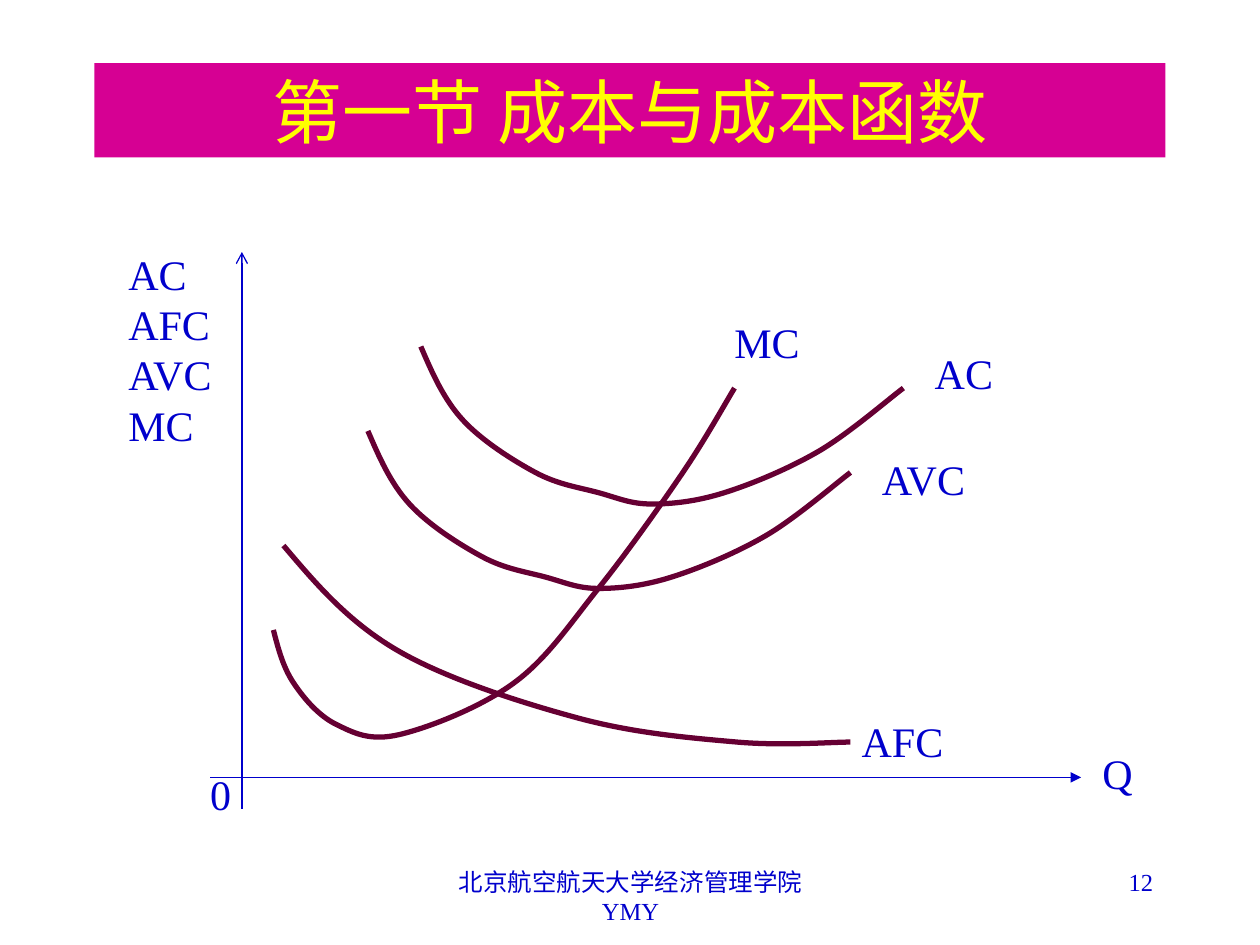
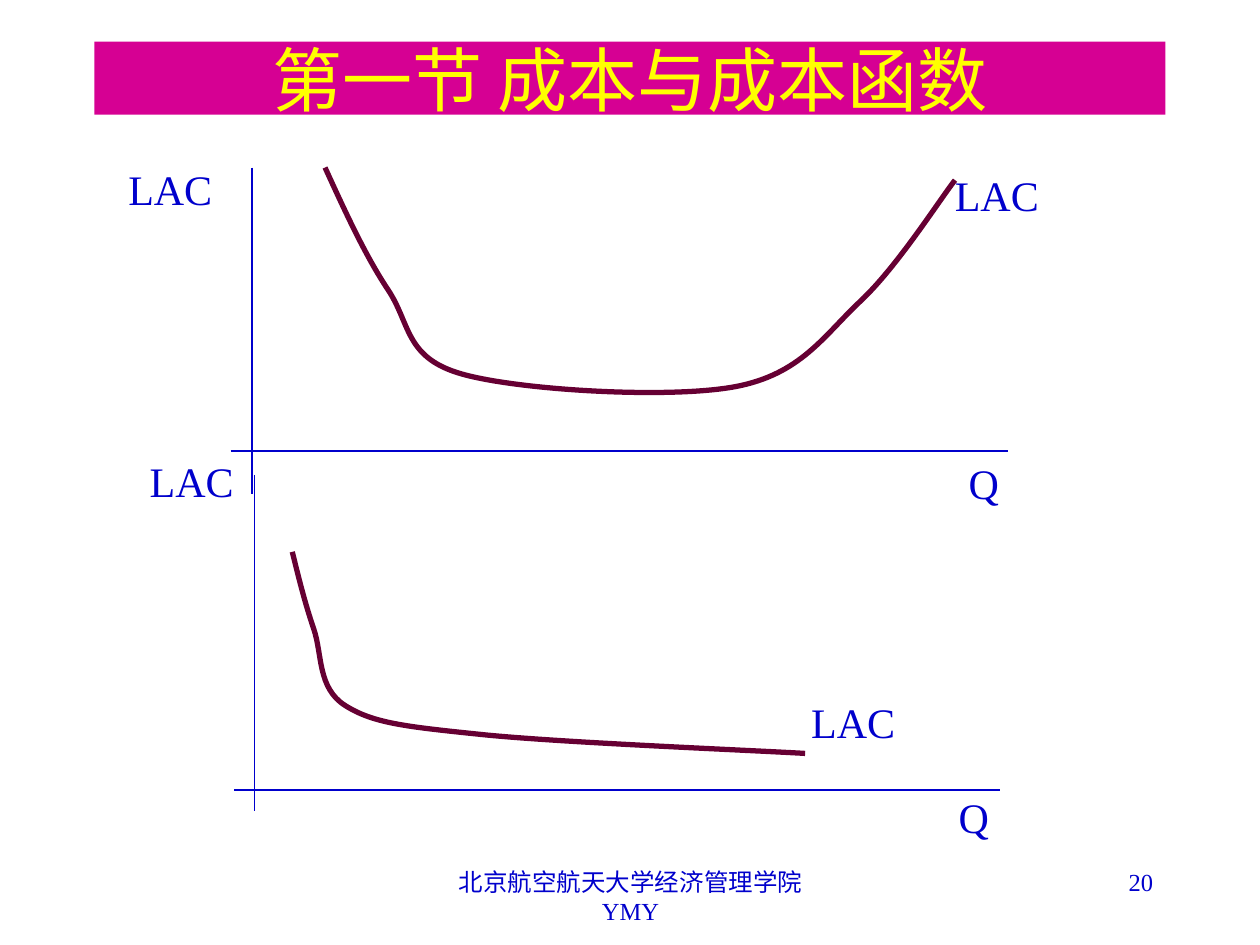
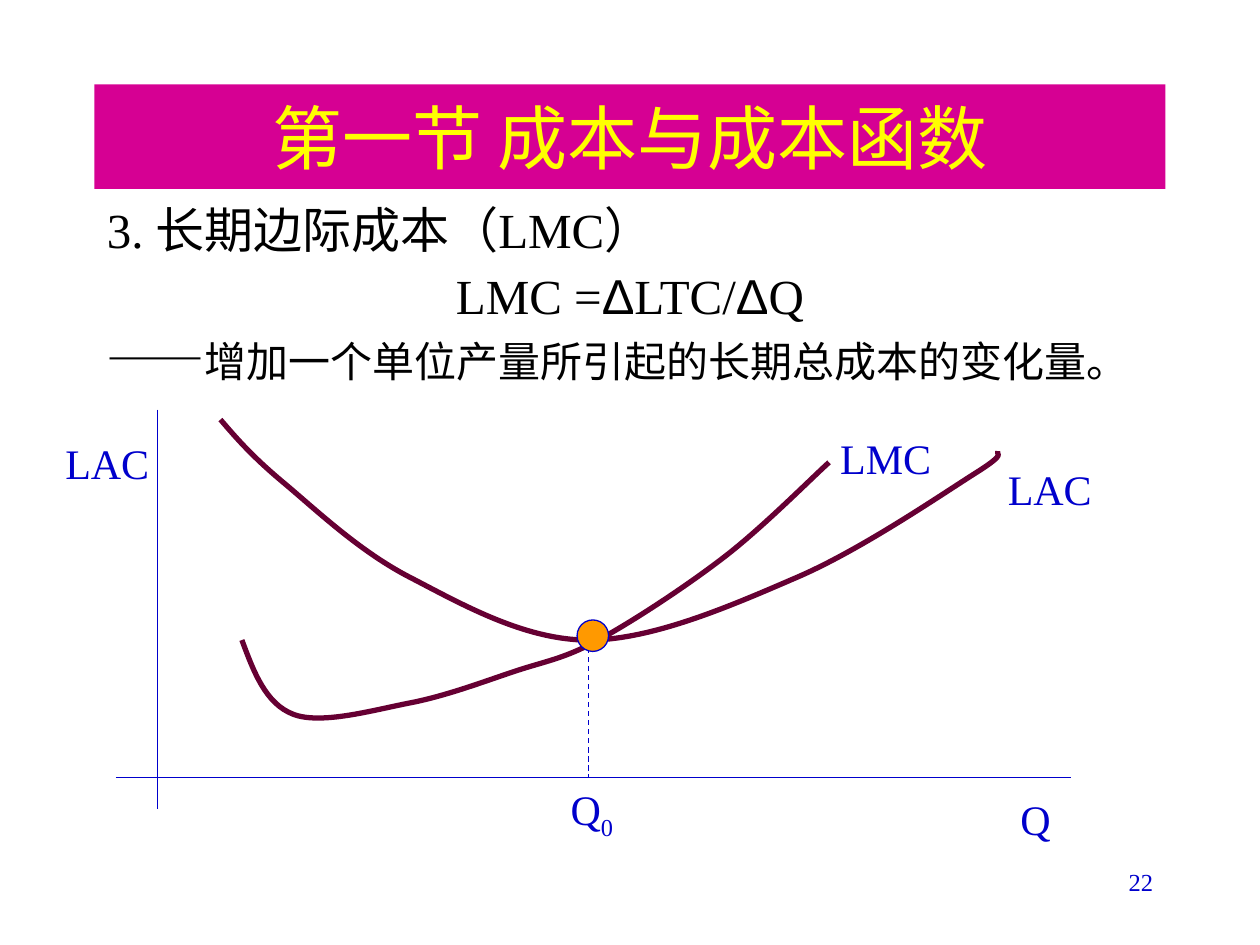
from dataclasses import dataclass
from pptx import Presentation
from pptx.dml.color import RGBColor
from pptx.enum.dml import MSO_LINE
from pptx.enum.shapes import MSO_CONNECTOR, MSO_SHAPE
from pptx.enum.text import MSO_ANCHOR, MSO_AUTO_SIZE, PP_ALIGN
from pptx.oxml.ns import qn
from pptx.util import Inches, Pt
from lxml.etree import SubElement

COLORS = {"band": "D60093", "title": "FFFF00", "label": "0000CC",
          "curve": "660033", "dot": "FF9900", "body": "000000"}
SERIF = "Times New Roman"
TITLE = "第一节 成本与成本函数"
FOOTER = "北京航空航天大学经济管理学院 YMY"
LABEL = {"name": SERIF, "size": Pt(24), "color": "label"}
SMALL = {**LABEL, "size": Pt(14)}
HEADING = {"name": SERIF, "size": Pt(40), "color": "title"}
BODY = {"name": SERIF, "size": Pt(28), "color": "body"}
LABEL_WIDTHS = {"Q": 0.44, "0": 0.36, "AC": 0.66, "MC": 0.72, "AFC": 0.85,
                "AVC": 0.9, "LAC": 0.87, "LMC": 0.92, "Q0": 0.54}


@dataclass
class Plot:
    left: float
    top: float
    width: float
    height: float
    overhang_x: float
    overhang_y: float

    def place(self, quantity, cost):
        return Inches(self.left + quantity), Inches(self.top + self.height - cost)


def rgb(name):
    return RGBColor.from_string(COLORS[name])


def add_run(paragraph, text, style):
    run = paragraph.add_run()
    run.text = text
    for attribute, value in style.items():
        if attribute == "color":
            run.font.color.rgb = rgb(value)
        else:
            setattr(run.font, attribute, value)
    return run


def add_text(slide, box, text, style, align=PP_ALIGN.LEFT):
    shape = slide.shapes.add_textbox(*map(Inches, box))
    frame = shape.text_frame
    frame.word_wrap = True
    for index, line in enumerate(text.split("\n")):
        paragraph = frame.add_paragraph() if index else frame.paragraphs[0]
        paragraph.alignment = align
        add_run(paragraph, line, style)
    return frame


def add_title(slide, box):
    band = slide.shapes.add_shape(MSO_SHAPE.RECTANGLE, *map(Inches, box))
    band.shadow.inherit = False
    band.fill.solid()
    band.fill.fore_color.rgb = rgb("band")
    band.line.fill.background()
    frame = band.text_frame
    frame.word_wrap = True
    frame.vertical_anchor = MSO_ANCHOR.MIDDLE
    frame.paragraphs[0].alignment = PP_ALIGN.CENTER
    add_run(frame.paragraphs[0], TITLE, HEADING)


def start_slide(presentation, title_top, title_height, number, footer=True):
    slide = presentation.slides.add_slide(presentation.slide_layouts[6])
    if footer:
        add_text(slide, (3.42, 6.83, 3.17, 0.5), FOOTER, SMALL, PP_ALIGN.CENTER)
    add_text(slide, (7.17, 6.83, 2.08, 0.5), str(number), SMALL, PP_ALIGN.RIGHT)
    add_title(slide, (0.75, title_top, 8.5, title_height))
    return slide


def add_line(slide, start, end, arrow=None, dash=None):
    line = slide.shapes.add_connector(MSO_CONNECTOR.STRAIGHT, *start, *end)
    line.line.color.rgb = rgb("label")
    line.line.width = Pt(0.75)
    if dash:
        line.line.dash_style = dash
    properties = line._element.spPr
    if arrow:
        end_name, kind = arrow
        SubElement(properties.find(qn("a:ln")), qn(end_name)).set("type", kind)
    SubElement(properties, qn("a:effectLst"))


def add_axes(slide, plot, arrows=(None, None)):
    add_line(slide, plot.place(0, plot.height), plot.place(0, -plot.overhang_y), arrows[0])
    add_line(slide, plot.place(-plot.overhang_x, 0), plot.place(plot.width, 0), arrows[1])


def smooth_controls(points):
    padded = points + points[-1:]
    tangents = [tuple((after - before) / 6 for before, after in zip(padded[i - 1], padded[i + 1]))
                for i in range(1, len(points))]
    for i, (start, end) in enumerate(zip(points, points[1:])):
        entering = tuple(p - t for p, t in zip(end, tangents[i]))
        if i:
            leaving = tuple(p + t for p, t in zip(start, tangents[i - 1]))
        else:
            leaving = tuple((p + q) / 2 for p, q in zip(start, entering))
        yield leaving, entering, end


def add_curve(slide, plot, knots):
    points = [plot.place(*knot) for knot in knots]
    builder = slide.shapes.build_freeform(*points[0])
    builder.add_line_segments(points[1:], close=False)
    curve = builder.convert_to_shape()
    curve.shadow.inherit = False
    curve.fill.background()
    curve.line.color.rgb = rgb("curve")
    curve.line.width = Pt(3)
    outline = next(curve._element.iter(qn("a:path")))
    local = [(int(p.get("x")), int(p.get("y"))) for p in outline.iter(qn("a:pt"))]
    for segment in outline.findall(qn("a:lnTo")):
        outline.remove(segment)
    for controls in smooth_controls(local):
        segment = SubElement(outline, qn("a:cubicBezTo"))
        for x, y in controls:
            point = SubElement(segment, qn("a:pt"))
            point.set("x", str(round(x)))
            point.set("y", str(round(y)))


def add_label(slide, plot, text, quantity, cost, subscript=""):
    box = (plot.left + quantity, plot.top + plot.height - cost,
           LABEL_WIDTHS[text + subscript], 0.56 if subscript else 0.5)
    frame = add_text(slide, box, text, LABEL)
    frame.word_wrap = False
    frame.auto_size = MSO_AUTO_SIZE.SHAPE_TO_FIT_TEXT
    if subscript:
        run = add_run(frame.paragraphs[0], subscript, LABEL)
        run.font._element.set("baseline", "-25000")


def draw_plot(slide, plot, curves, labels, arrows=(None, None)):
    add_axes(slide, plot, arrows)
    for knots in curves:
        add_curve(slide, plot, knots)
    for label in labels:
        add_label(slide, plot, *label)


def add_optimum(slide, plot, quantity, cost):
    add_line(slide, plot.place(quantity, cost + 0.08), plot.place(quantity, 0),
             dash=MSO_LINE.DASH)
    size = 0.25
    dot = slide.shapes.add_shape(MSO_SHAPE.OVAL, *plot.place(quantity - 0.09, cost + 0.16),
                                 Inches(size), Inches(size))
    dot.shadow.inherit = False
    dot.fill.solid()
    dot.fill.fore_color.rgb = rgb("dot")
    dot.line.color.rgb = rgb("label")
    dot.line.width = Pt(0.75)


def add_definition(slide, box):
    delta = ("Δ", {**BODY, "name": "Arial"})
    lines = [
        (PP_ALIGN.LEFT, 0, [("3. 长期边际成本（LMC）", BODY)]),
        (PP_ALIGN.CENTER, 7, [("LMC =", BODY), delta, ("LTC/", BODY), delta, ("Q", BODY)]),
        (PP_ALIGN.LEFT, 6, [("——", BODY), ("增加一个单位产量所引起的长期总成本的变化量。",
                                           {**BODY, "size": Pt(24)})]),
    ]
    frame = slide.shapes.add_textbox(*map(Inches, box)).text_frame
    frame.word_wrap = True
    for index, (align, before, runs) in enumerate(lines):
        paragraph = frame.add_paragraph() if index else frame.paragraphs[0]
        settings = {"alignment": align, "line_spacing": 0.9, "space_before": Pt(before)}
        for attribute, value in settings.items():
            setattr(paragraph, attribute, value)
        properties = paragraph._p.get_or_add_pPr()
        properties.set("marL", str(Inches(0.38)))
        properties.set("indent", str(Inches(-0.38)))
        for text, style in runs:
            add_run(paragraph, text, style)


def short_run_slide(presentation):
    slide = start_slide(presentation, 0.5, 0.75, 12)
    plot = Plot(1.92, 2, 6.66, 4.17, 0.25, 0.25)
    fixed = [(0.33, 1.84), (1.23, 1.01), (2.67, 0.47), (3.93, 0.28), (4.83, 0.28)]
    marginal = [(0.25, 1.17), (0.41, 0.75), (0.75, 0.42), (1.25, 0.34),
                (2.16, 0.75), (2.83, 1.5), (3.5, 2.42), (3.91, 3.09)]
    variable = [(1, 2.75), (1.33, 2.17), (1.91, 1.75), (2.41, 1.59),
                (2.83, 1.5), (3.41, 1.59), (4.16, 1.92), (4.83, 2.42)]
    average = [(quantity + 0.42, cost + 0.67) for quantity, cost in variable]
    labels = [("Q", 6.73, 0.29), ("0", -0.35, 0.12), ("AFC", 4.82, 0.54),
              ("AVC", 4.98, 2.62), ("AC", 5.4, 3.46), ("MC", 3.81, 3.71)]
    draw_plot(slide, plot, [fixed, marginal, variable, average], labels,
              (("a:headEnd", "arrow"), ("a:tailEnd", "triangle")))
    add_text(slide, (plot.left - 1, plot.top - 0.08, 1, 1.7), "AC\nAFC\nAVC\nMC", LABEL)


def long_run_average_slide(presentation):
    slide = start_slide(presentation, 0.33, 0.58, 20)
    basin = [(0.58, 2.25), (1.08, 1.28), (1.67, 0.61), (3.83, 0.51), (4.83, 1.19), (5.58, 2.15)]
    draw_plot(slide, Plot(2, 1.33, 6, 2.25, 0.17, 0.34), [basin],
              [("LAC", 5.48, 2.28), ("Q", 5.59, 0), ("LAC", -1.08, 2.33)])
    falling = [(0.3, 1.89), (0.47, 1.28), (0.72, 0.67), (1.8, 0.44), (4.37, 0.29)]
    draw_plot(slide, Plot(2.02, 3.77, 5.92, 2.5, 0.16, 0.17), [falling],
              [("LAC", 4.32, 0.79), ("Q", 5.49, 0.04), ("LAC", -0.93, 2.7)])


def long_run_marginal_slide(presentation):
    slide = start_slide(presentation, 0.67, 0.83, 22, footer=False)
    add_definition(slide, (0.75, 1.59, 8.5, 1.58))
    plot = Plot(1.25, 3.25, 7.25, 2.92, 0.33, 0.25)
    average = [(0.5, 2.84), (1, 2.34), (2, 1.59), (3.42, 1.09),
               (5.08, 1.59), (6.5, 2.42), (6.67, 2.59)]
    marginal = [(0.67, 1.09), (1.08, 0.5), (2, 0.59), (2.83, 0.84),
                (3.5, 1.09), (4.5, 1.75), (5.33, 2.5)]
    labels = [("LAC", 6.65, 2.54), ("Q", 3.18, 0, "0"), ("Q", 6.75, -0.08),
              ("LAC", -0.83, 2.75), ("LMC", 5.32, 2.79)]
    draw_plot(slide, plot, [average, marginal], labels)
    add_optimum(slide, plot, 3.42, 1.09)


def main():
    presentation = Presentation()
    presentation.slide_width = Inches(10)
    presentation.slide_height = Inches(7.5)
    short_run_slide(presentation)
    long_run_average_slide(presentation)
    long_run_marginal_slide(presentation)
    presentation.save("out.pptx")


if __name__ == "__main__":
    main()
